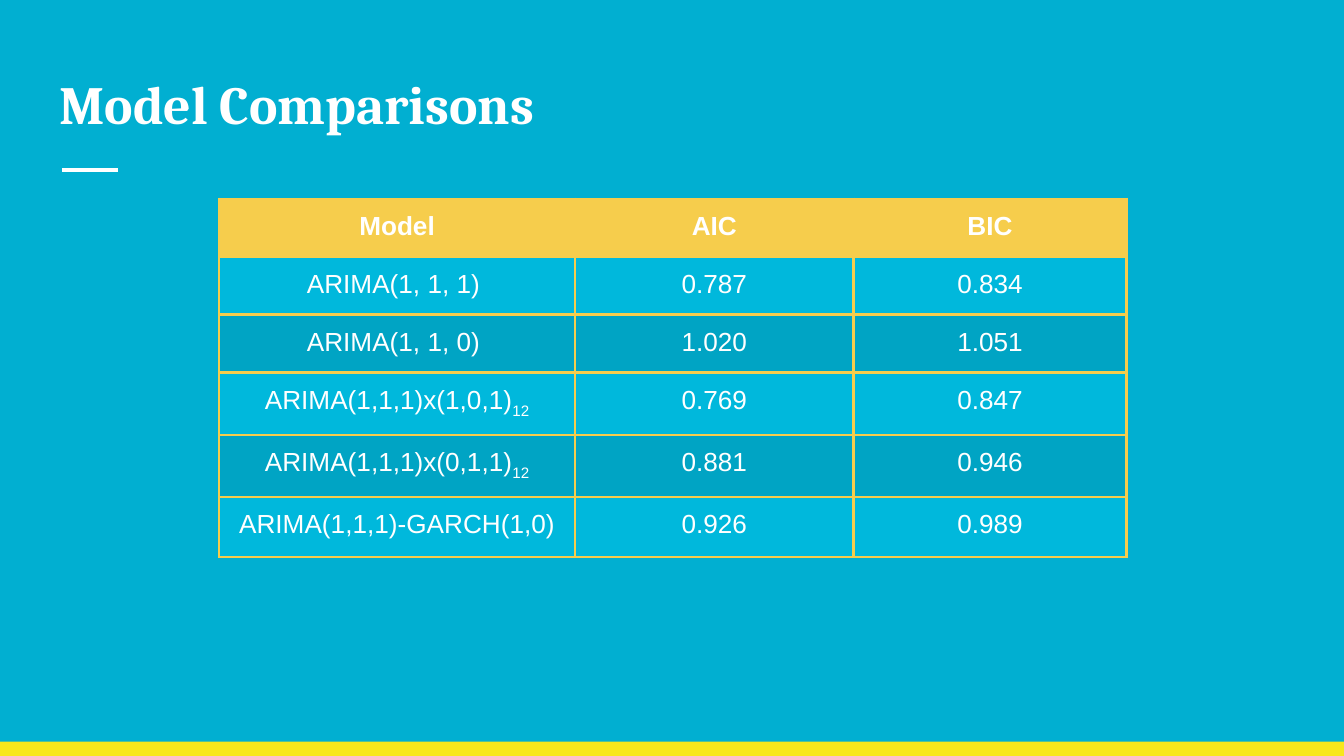
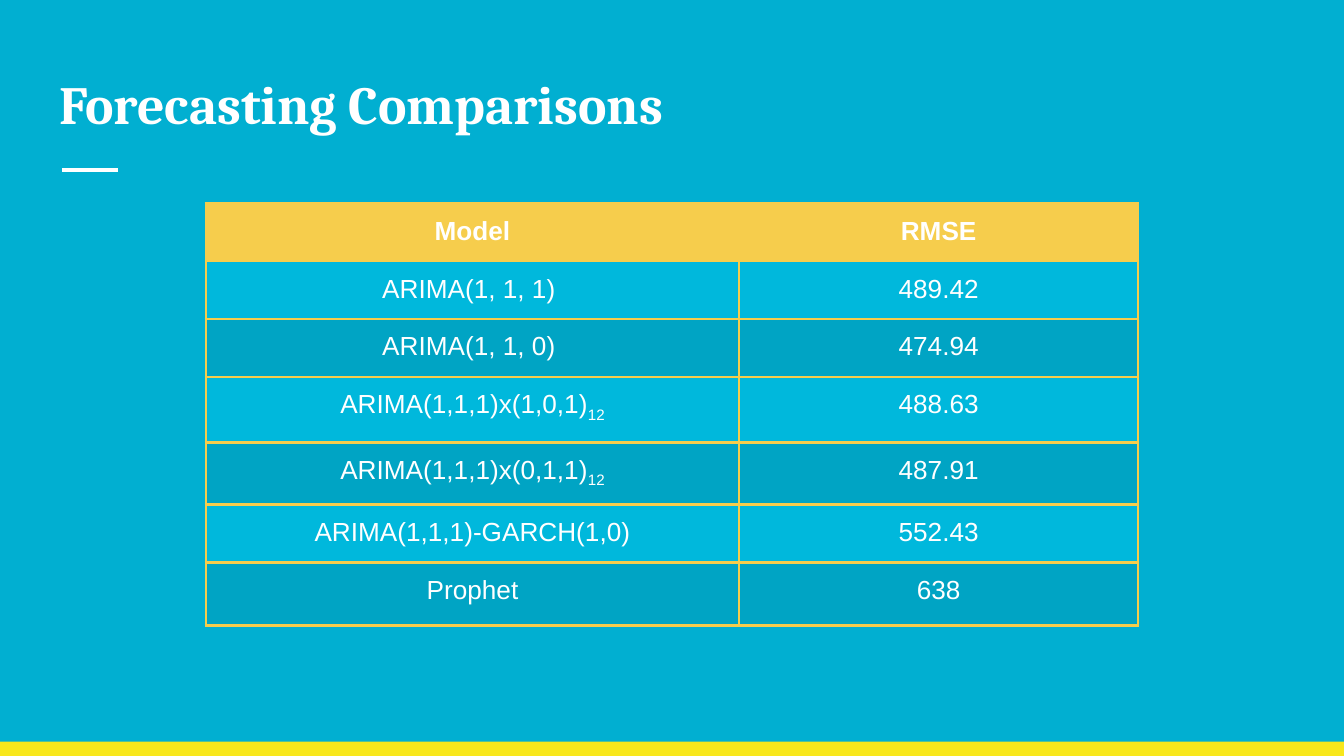
from dataclasses import dataclass

from lxml import etree
from pptx import Presentation
from pptx.dml.color import RGBColor
from pptx.enum.shapes import MSO_CONNECTOR, MSO_SHAPE
from pptx.enum.text import MSO_ANCHOR, PP_ALIGN
from pptx.oxml.ns import qn
from pptx.slide import Slide
from pptx.table import _Cell
from pptx.text.text import TextFrame
from pptx.util import Cm, Pt

STRAIGHT = MSO_CONNECTOR.STRAIGHT
RECTANGLE = MSO_SHAPE.RECTANGLE
TOP, MIDDLE = MSO_ANCHOR.TOP, MSO_ANCHOR.MIDDLE
LEFT, CENTER = PP_ALIGN.LEFT, PP_ALIGN.CENTER

COLORS = {
    "background": "01AFD1",
    "footer": "F8E71C",
    "text": "FFFFFF",
    "gold": "F6CD4C",
    "light_row": "00B8DC",
    "dark_row": "00A4C4",
}
TITLE_FONT, BODY_FONT = "Cambria", "Arial"
SLIDE_WIDTH, SLIDE_HEIGHT = Cm(25.4), Cm(14.29)
FOOTER_HEIGHT = Cm(0.27)
INSET = Cm(0.25)
BORDER_WIDTH = Pt(1.5)
SUBSCRIPT_MARK = "_"

MODELS = [
    "ARIMA(1, 1, 1) ",
    "ARIMA(1, 1, 0) ",
    "ARIMA(1,1,1)x(1,0,1)_12",
    "ARIMA(1,1,1)x(0,1,1)_12",
    "ARIMA(1,1,1)-GARCH(1,0)",
    "Prophet",
]


@dataclass(frozen=True)
class Comparison:
    """One slide: its title and a table of scores by model (lengths in cm)."""
    title: str
    left: float
    top: float
    column_widths: list[float]
    row_heights: list[float]
    scores: dict[str, list[str]]

    def rows(self) -> list[tuple[str, ...]]:
        header = ("Model", *self.scores)
        return [header, *zip(MODELS, *self.scores.values())]


COMPARISONS = [
    Comparison(
        "Model Comparisons", 4.14, 3.76,
        [6.73, 5.26, 5.16],
        [1.02, 1.09, 1.04, 1.09, 1.07, 1.14],
        {
            "AIC": ["0.787", "1.020", "0.769", "0.881", "0.926"],
            "BIC": ["0.834", "1.051", "0.847", "0.946", "0.989"],
        },
    ),
    Comparison(
        "Forecasting Comparisons", 3.89, 3.84,
        [10.08, 7.54],
        [0.97, 1.02, 0.99, 1.24, 1.17, 1.09, 1.19],
        {"RMSE": ["489.42", "474.94", "488.63", "487.91", "552.43", "638"]},
    ),
]


def rgb(name: str) -> RGBColor:
    return RGBColor.from_string(COLORS[name])


def write_text(frame: TextFrame, text: str, *, size: float, font: str,
               bold: bool = False, align: PP_ALIGN = LEFT) -> None:
    """Write one paragraph; whatever follows the mark becomes a subscript."""
    paragraph = frame.paragraphs[0]
    paragraph.alignment = align
    base, _, subscript = text.partition(SUBSCRIPT_MARK)
    for part in filter(None, (base, subscript)):
        run = paragraph.add_run()
        run.text = part
        run.font.size = Pt(size)
        run.font.name = font
        run.font.bold = bold
        run.font.color.rgb = rgb("text")
    if subscript:
        run.font._element.set("baseline", "-25000")


def add_background_and_footer(slide: Slide) -> None:
    slide.background.fill.solid()
    slide.background.fill.fore_color.rgb = rgb("background")
    footer = slide.shapes.add_shape(
        RECTANGLE, 0, SLIDE_HEIGHT - FOOTER_HEIGHT, SLIDE_WIDTH, FOOTER_HEIGHT)
    footer.shadow.inherit = False
    footer.fill.solid()
    footer.fill.fore_color.rgb = rgb("footer")
    footer.line.fill.background()


def add_title(slide: Slide, title: str) -> None:
    """Add the title and the short rule under it."""
    rule = slide.shapes.add_connector(
        STRAIGHT, Cm(1.17), Cm(3.21), Cm(2.23), Cm(3.21))
    rule.line.color.rgb = rgb("text")
    rule.line.width = Pt(2.25)
    etree.SubElement(rule._element.spPr, qn("a:effectLst"))

    heading = slide.shapes.add_textbox(Cm(0.87), Cm(1.04), Cm(23.67), Cm(1.8))
    frame = heading.text_frame
    frame.word_wrap = True
    frame.vertical_anchor = MIDDLE
    frame.margin_left = frame.margin_right = INSET
    frame.margin_top = frame.margin_bottom = INSET
    write_text(frame, title, size=28.8, font=TITLE_FONT, bold=True)


def add_borders(cell: _Cell) -> None:
    properties = cell._tc.get_or_add_tcPr()
    for side in ("L", "R", "T", "B"):
        border = etree.SubElement(
            properties, qn(f"a:ln{side}"), w=str(BORDER_WIDTH))
        fill = etree.SubElement(border, qn("a:solidFill"))
        etree.SubElement(fill, qn("a:srgbClr"), val=COLORS["gold"])


def row_color(row_index: int) -> str:
    if row_index == 0:
        return "gold"
    return "light_row" if row_index % 2 else "dark_row"


def add_score_table(slide: Slide, comparison: Comparison) -> None:
    rows = comparison.rows()
    widths, heights = comparison.column_widths, comparison.row_heights
    table = slide.shapes.add_table(
        len(rows), len(widths), Cm(comparison.left), Cm(comparison.top),
        Cm(sum(widths)), Cm(sum(heights))).table
    table.horz_banding = False
    for column, width in zip(table.columns, widths):
        column.width = Cm(width)
    for row, height in zip(table.rows, heights):
        row.height = Cm(height)

    for row_index, row_texts in enumerate(rows):
        for column_index, text in enumerate(row_texts):
            cell = table.cell(row_index, column_index)
            cell.margin_left = cell.margin_right = INSET
            cell.margin_top = cell.margin_bottom = INSET
            cell.vertical_anchor = TOP
            add_borders(cell)
            cell.fill.solid()
            cell.fill.fore_color.rgb = rgb(row_color(row_index))
            write_text(cell.text_frame, text, size=14, font=BODY_FONT,
                       bold=row_index == 0, align=CENTER)


def main() -> None:
    presentation = Presentation()
    presentation.slide_width = SLIDE_WIDTH
    presentation.slide_height = SLIDE_HEIGHT
    blank_layout = presentation.slide_layouts[6]
    for comparison in COMPARISONS:
        slide = presentation.slides.add_slide(blank_layout)
        add_background_and_footer(slide)
        add_title(slide, comparison.title)
        add_score_table(slide, comparison)
    presentation.save("out.pptx")


if __name__ == "__main__":
    main()
